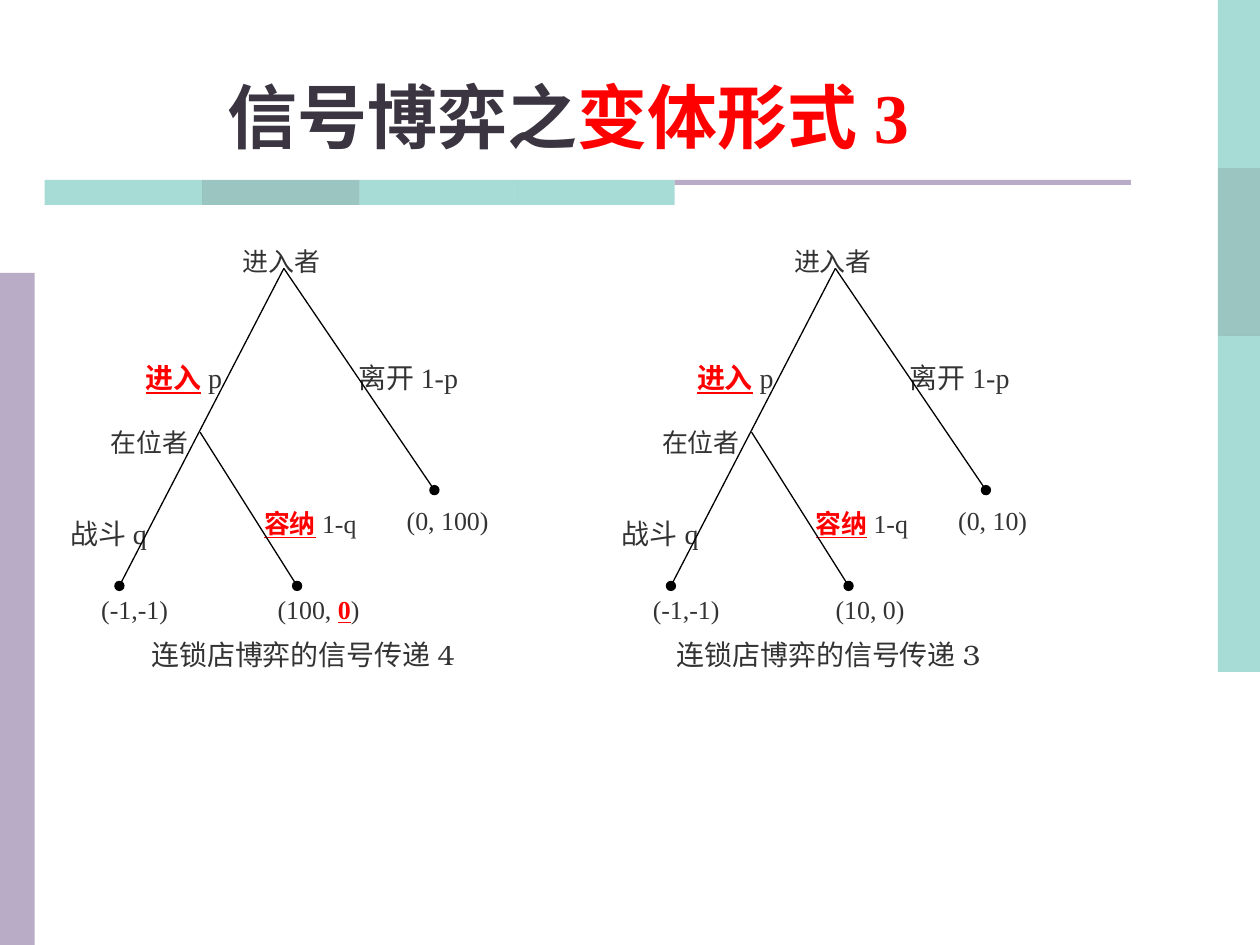
from lxml.etree import SubElement
from pptx import Presentation
from pptx.dml.color import RGBColor
from pptx.enum.shapes import MSO_CONNECTOR, MSO_SHAPE
from pptx.enum.text import MSO_ANCHOR, PP_ALIGN
from pptx.oxml.ns import qn
from pptx.util import Inches, Pt

# The slide is a grid of 100 columns by 75 rows of square cells
CELL = 0.1
COLUMNS, ROWS = 100, 75
SERIF, CAPTION_FONT = "Times New Roman", "TeX Gyre Bonum"
TEAL, DARK_TEAL, LILAC = "51B9AF", "398D85", "B8ACC6"
GREY, TITLE_GREY, RED, WHITE, BLACK = "333333", "3A3541", "FF0000", "FFFFFF", "000000"
LEFT, CENTER, RIGHT, JUSTIFY = PP_ALIGN.LEFT, PP_ALIGN.CENTER, PP_ALIGN.RIGHT, PP_ALIGN.JUSTIFY


def color(value):
    return RGBColor.from_string(value)


def cells(*counts):
    return [Inches(count * CELL) for count in counts]


def add_block(shapes, box, fill, opacity=100):
    shape = shapes.add_shape(MSO_SHAPE.RECTANGLE, *cells(*box))
    shape.shadow.inherit = False
    shape.fill.solid()
    shape.fill.fore_color.rgb = color(fill)
    shape.line.fill.background()
    if opacity < 100:
        fill_color = shape.fill._xPr.find(qn("a:solidFill"))[0]
        SubElement(fill_color, qn("a:alpha"), val=str(opacity * 1000))
    return shape


def write(shape, runs, size, align, anchor, font=SERIF, base=GREY, bold=False, spacing=None):
    """Fill a shape with one paragraph; each run is a (text, is_key) pair."""
    frame = shape.text_frame
    frame.word_wrap = True
    frame.vertical_anchor = anchor
    paragraph = frame.paragraphs[0]
    paragraph.alignment = align
    paragraph.line_spacing = spacing
    paragraph.font.name = font
    paragraph.font.size = Pt(size)
    for text, is_key in runs:
        run = paragraph.add_run()
        run.text = text
        run.font.color.rgb = color(RED if is_key else base)
        run.font.bold = bold or is_key
        # Key moves and payoffs in the trees are underlined, the title is not
        run.font.underline = is_key and not bold


def add_label(shapes, box, runs, size, align, spacing):
    shape = add_block(shapes, box, WHITE)
    shape.line.color.rgb = color(WHITE)
    shape.line.width = Pt(0.75)
    frame = shape.text_frame
    frame.margin_left = frame.margin_right = frame.margin_top = frame.margin_bottom = 0
    write(shape, runs, size, align, MSO_ANCHOR.TOP, spacing=spacing)


def add_branch(shapes, start, end):
    line = shapes.add_connector(MSO_CONNECTOR.STRAIGHT, *cells(*start, *end))
    line.line.color.rgb = color(BLACK)
    line.line.width = Pt(0.75)
    SubElement(line.line._get_or_add_ln(), qn("a:tailEnd"), type="oval")
    SubElement(line._element.spPr, qn("a:effectLst"))


def add_side_bands(slide):
    height = ROWS * 8 / 45
    for row, fill in enumerate([TEAL, DARK_TEAL, TEAL, TEAL]):
        add_block(slide.shapes, (COLUMNS - 3.33, row * height, 3.33, height), fill, 50)
    add_block(slide.shapes, (0, 21.67, 2.75, ROWS - 21.67), LILAC)


def add_title(slide, box):
    shape = slide.shapes.add_textbox(*cells(*box))
    write(shape, [("信号博弈之", False), ("变体形式3", True)], 40, CENTER,
          MSO_ANCHOR.BOTTOM, base=TITLE_GREY, bold=True)


def add_title_rule(slide, left, top):
    width = 12.5
    fills = [TEAL, DARK_TEAL, TEAL, TEAL]
    for column, fill in enumerate(fills):
        add_block(slide.shapes, (left + column * width, top, width, 2), fill, 50)
    add_block(slide.shapes, (left + len(fills) * width, top, 36.2, 0.4), LILAC)


def add_game_tree(slide, left, top, leave_payoff, accommodate_payoff):
    shapes = slide.shapes.add_group_shape().shapes
    # Players, moves and payoffs: box within the tree, runs, size, alignment, spacing
    labels = [
        ((0, 20.8, 7, 5.3), [("战斗q", False)], 16, CENTER, 1.9),
        ((15.6, 20.5, 7.8, 5.3), [("容纳", True), ("1-q", False)], 14.8, CENTER, 1.8),
        ((15.6, 27.6, 9.1, 4.1), accommodate_payoff, 14.8, CENTER, 1.7),
        ((23.3, 8.7, 8.5, 4.6), [("离开1-p", False)], 16, JUSTIFY, 1.8),
        ((27.15, 20.5, 7.8, 4.2), leave_payoff, 14.8, JUSTIFY, 1.7),
        ((1.3, 14.3, 8.5, 4.2), [("在位者", False)], 14.8, RIGHT, 1.7),
        ((2.45, 27.6, 6.2, 4), [("(-1,-1)", False)], 14.8, CENTER, 1.7),
        ((3.2, 8.7, 9.3, 4.6), [("进入", True), ("p", False)], 16, RIGHT, 1.8),
        ((12.5, 0, 9.4, 4.2), [("进入者", False)], 14.8, CENTER, 1.7),
    ]
    for (x, y, width, height), runs, size, align, spacing in labels:
        add_label(shapes, (left + x, top + y, width, height), runs, size, align, spacing)

    # Branches, each ending in a dot
    root, incumbent = (17.4, 3.5), (10.75, 16.5)
    fight, leave, accommodate = (4.35, 28.7), (29.35, 21.1), (18.45, 28.7)
    for start, end in [(root, fight), (root, leave), (incumbent, accommodate)]:
        add_branch(shapes, (left + start[0], top + start[1]), (left + end[0], top + end[1]))


def add_caption(slide, box, text):
    shape = slide.shapes.add_textbox(*cells(*box))
    write(shape, [(text, False)], 16, CENTER, MSO_ANCHOR.MIDDLE, font=CAPTION_FONT)


def main():
    presentation = Presentation()
    presentation.slide_width, presentation.slide_height = cells(COLUMNS, ROWS)
    slide = presentation.slides.add_slide(presentation.slide_layouts[6])

    add_side_bands(slide)
    add_title_rule(slide, 3.55, 14.27)
    add_title(slide, (0, 4.4, 90.2, 8.6))

    add_game_tree(slide, 48.9, 17.8, [("(0, 10)", False)], [("(10, 0)", False)])
    add_caption(slide, (50.8, 50.1, 29.9, 3.7), "连锁店博弈的信号传递3")
    add_game_tree(slide, 5.13, 17.8, [("(0, 100)", False)],
                  [("(100, ", False), ("0", True), (")", False)])
    add_caption(slide, (9.1, 50.1, 29.9, 3.7), "连锁店博弈的信号传递4")

    presentation.save("out.pptx")


if __name__ == "__main__":
    main()
